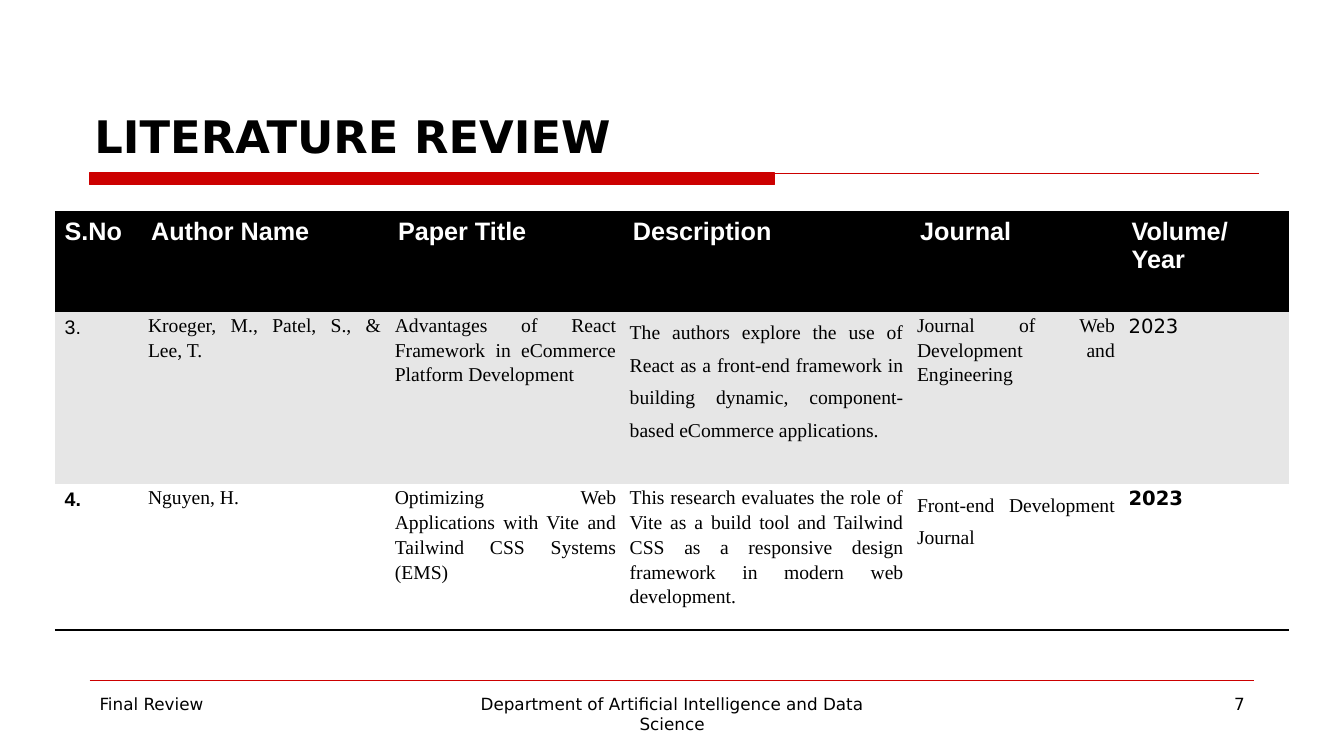
from lxml import etree
from pptx import Presentation
from pptx.dml.color import RGBColor
from pptx.enum.shapes import MSO_CONNECTOR, MSO_SHAPE
from pptx.enum.text import MSO_ANCHOR, PP_ALIGN
from pptx.oxml.ns import qn
from pptx.util import Cm, Pt

LEFT, CENTER, RIGHT, JUSTIFY = (PP_ALIGN.LEFT, PP_ALIGN.CENTER,
                                PP_ALIGN.RIGHT, PP_ALIGN.JUSTIFY)
TOP, BOTTOM = MSO_ANCHOR.TOP, MSO_ANCHOR.BOTTOM
STRAIGHT, RECTANGLE = MSO_CONNECTOR.STRAIGHT, MSO_SHAPE.RECTANGLE
BLACK, WHITE, GREY, RED = "000000", "FFFFFF", "E6E6E6", "CC0000"
SANS, ARIAL, SERIF = "DejaVu Sans", "Arial", "Times New Roman"
PLAIN_TABLE = "{2D5ABB26-0587-4C30-8999-92F81FD0307C}"
WIDE_MARGINS, NARROW_MARGINS = (0.25, 0.13), (0.17, 0)

HEADERS = ["S.No", "Author Name", "Paper Title", "Description", "Journal",
           "Volume/\nYear"]
PAPERS = [
    ["3.", "Kroeger, M., Patel, S., & Lee, T.",
     "Advantages of React Framework in eCommerce Platform Development",
     "The authors explore the use of React as a front-end framework in "
     "building dynamic, component-based eCommerce applications.",
     "Journal of Web Development and Engineering", "2023"],
    ["4.", "Nguyen, H.",
     "Optimizing Web Applications with Vite and Tailwind CSS Systems (EMS)",
     "This research evaluates the role of Vite as a build tool and Tailwind "
     "CSS as a responsive design framework in modern web development.",
     "Front-end Development Journal", "2023"],
]
COL_WIDTHS = [2.18, 6.22, 5.92, 7.24, 5.33, 4.22]
ROW_HEIGHTS = [2.49, 4.34, 3.68]
LOOSE_CELLS = {(1, 3), (2, 4)}  # row, column of cells spaced at 1.5 lines


def rgb(value):
    return RGBColor.from_string(value)


class Deck:
    def __init__(self):
        self.prs = Presentation()
        self.prs.slide_width, self.prs.slide_height = Cm(33.87), Cm(19.05)
        self.s = self.prs.slides.add_slide(self.prs.slide_layouts[6])

    def fill_text(self, tf, text, size, font=SANS, color=BLACK, bold=False,
                  align=LEFT, spacing=None, after=None):
        """Fill a text frame, one paragraph for each line of text."""
        for i, line in enumerate(text.split("\n")):
            p = tf.add_paragraph() if i else tf.paragraphs[0]
            p.alignment = align
            if spacing:
                p.line_spacing = spacing
            if after:
                p.space_after = Pt(after)
            r = p.add_run()
            r.text = line
            r.font.name, r.font.size, r.font.bold = font, Pt(size), bold
            r.font.color.rgb = rgb(color)

    def text(self, x, y, w, h, text, size, anchor=TOP, **style):
        tf = self.s.shapes.add_textbox(Cm(x), Cm(y), Cm(w), Cm(h)).text_frame
        tf.word_wrap = True
        tf.vertical_anchor = anchor
        self.fill_text(tf, text, size, **style)

    def bar(self, x, y, w, h, color):
        sp = self.s.shapes.add_shape(RECTANGLE, Cm(x), Cm(y), Cm(w), Cm(h))
        sp.shadow.inherit = False
        sp.fill.solid()
        sp.fill.fore_color.rgb = rgb(color)
        sp.line.color.rgb = rgb(color)
        sp.line.width = Pt(0.75)

    def rule(self, x1, x2, y, color):
        sp = self.s.shapes.add_connector(STRAIGHT, Cm(x1), Cm(y), Cm(x2), Cm(y))
        sp.line.color.rgb = rgb(color)
        sp.line.width = Pt(0.75)
        etree.SubElement(sp._element.spPr, qn("a:effectLst"))

    def table(self, x, y, widths, heights):
        sp = self.s.shapes.add_table(len(heights), len(widths), Cm(x), Cm(y),
                                     Cm(sum(widths)), Cm(sum(heights)))
        table = sp.table
        sp._element.find(".//" + qn("a:tableStyleId")).text = PLAIN_TABLE
        table.horz_banding = False
        for column, width in zip(table.columns, widths):
            column.width = Cm(width)
        for row, height in zip(table.rows, heights):
            row.height = Cm(height)
        return table

    def cell(self, cell, text, size, fill, margins, **style):
        cell.margin_left = cell.margin_right = Cm(margins[0])
        cell.margin_top = cell.margin_bottom = Cm(margins[1])
        cell.fill.solid()
        cell.fill.fore_color.rgb = rgb(fill)
        self.fill_text(cell.text_frame, text, size, **style)

    def cell_border(self, cell, side, color, width):
        """Draw one border; side is a:lnT or a:lnB."""
        ln = etree.Element(qn(side), w=str(int(Pt(width))))
        fill = etree.SubElement(ln, qn("a:solidFill"))
        etree.SubElement(fill, qn("a:srgbClr"), val=color)
        cell._tc.get_or_add_tcPr().insert(0, ln)


def add_papers(deck):
    table = deck.table(1.38, 5.36, COL_WIDTHS, ROW_HEIGHTS)
    last_row, last_col = len(PAPERS), len(HEADERS) - 1
    for col, header in enumerate(HEADERS):
        cell = table.cell(0, col)
        deck.cell(cell, header, 18, BLACK, WIDE_MARGINS,
                  font=ARIAL, color=WHITE, bold=True)
        deck.cell_border(cell, "a:lnT", BLACK, 2)
    for row, paper in enumerate(PAPERS, 1):
        fill = GREY if row % 2 else WHITE
        for col, text in enumerate(paper):
            cell = table.cell(row, col)
            bold = row == last_row and col in (0, last_col)
            if col == 0:
                deck.cell(cell, text, 14, fill, WIDE_MARGINS, font=ARIAL,
                          bold=bold)
            else:
                deck.cell(cell, text, 14, fill, NARROW_MARGINS, bold=bold,
                          font=SANS if col == last_col else SERIF,
                          align=JUSTIFY, after=8,
                          spacing=1.5 if (row, col) in LOOSE_CELLS else 1.15)
            if row == last_row:
                deck.cell_border(cell, "a:lnB", BLACK, 2)


def main():
    deck = Deck()
    deck.bar(2.26, 4.36, 17.25, 0.3, RED)
    deck.rule(2.26, 31.72, 4.36, RED)
    deck.rule(2.26, 31.6, 17.15, RED)
    add_papers(deck)
    deck.text(2.13, 0.84, 29.64, 3.38, "LITERATURE REVIEW", 32,
              anchor=BOTTOM, bold=True)
    deck.text(2.26, 17.35, 7.34, 1.14, "Final Review", 12)
    deck.text(11.58, 17.35, 10.72, 1.32,
              "Department of Artificial Intelligence and Data Science", 12,
              align=CENTER)
    deck.text(24.28, 17.35, 7.34, 1.32, "7", 12, align=RIGHT)
    deck.prs.save("out.pptx")


if __name__ == "__main__":
    main()
